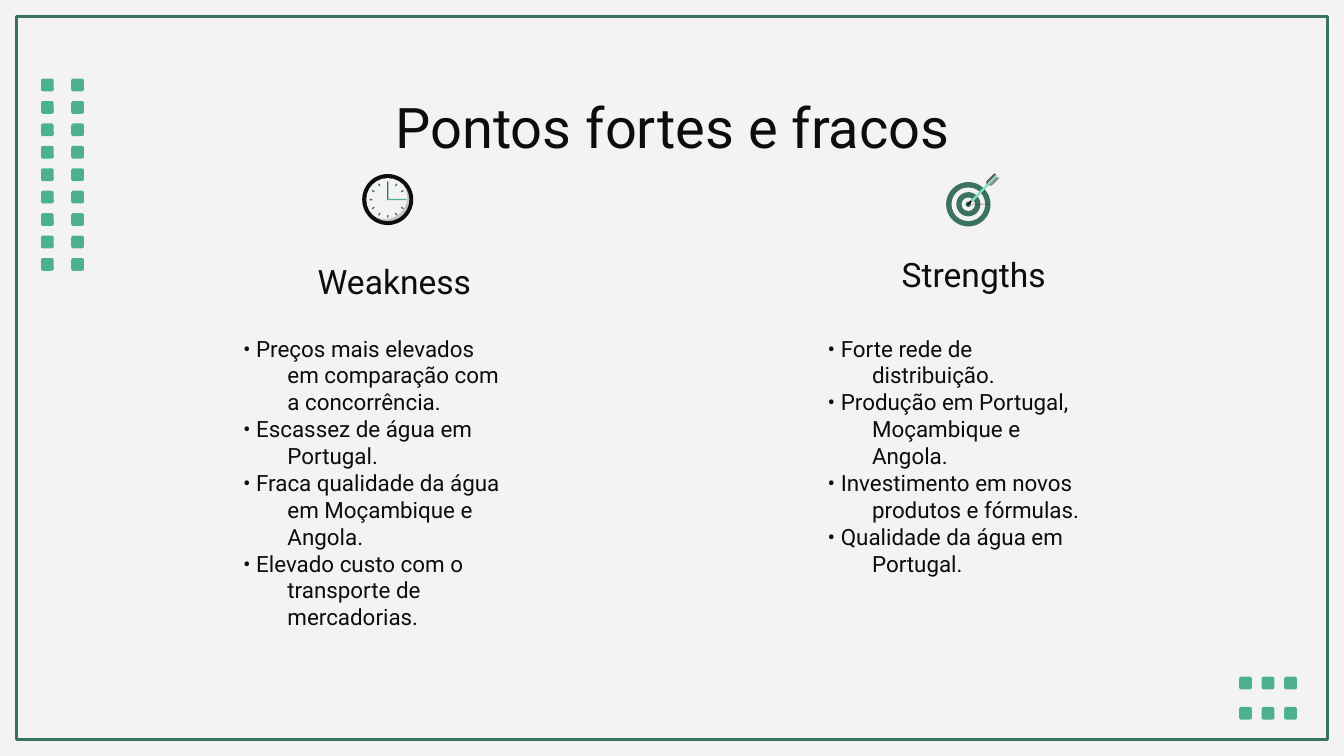
from math import cos, radians, sin

from lxml import etree
from pptx import Presentation
from pptx.dml.color import RGBColor
from pptx.enum.shapes import MSO_SHAPE
from pptx.enum.text import MSO_ANCHOR, MSO_AUTO_SIZE, PP_ALIGN
from pptx.oxml.ns import qn
from pptx.util import Pt

PX = 4572  # 200 px to the inch
FONT = "Roboto"
COLORS = {
    "paper": "F3F3F3",
    "ink": "0D0D0D",
    "forest": "3C735F",
    "green": "4CB18C",
    "mint": "85E0BE",
    "gray": "8C8C8C",
    "slate": "595859",
    "bolt": "828282",
}
RECT, ROUND, OVAL = MSO_SHAPE.RECTANGLE, MSO_SHAPE.ROUNDED_RECTANGLE, MSO_SHAPE.OVAL
TOP, BOTTOM = MSO_ANCHOR.TOP, MSO_ANCHOR.BOTTOM
LEFT, CENTER = PP_ALIGN.LEFT, PP_ALIGN.CENTER
NO_AUTOFIT = MSO_AUTO_SIZE.NONE

WEAKNESSES = [
    "Preços mais elevados em comparação com a concorrência.",
    "Escassez de água em Portugal.",
    "Fraca qualidade da água em Moçambique e Angola.",
    "Elevado custo com o transporte de mercadorias.",
]
STRENGTHS = [
    "Forte rede de distribuição.",
    "Produção em Portugal, Moçambique e Angola.",
    "Investimento em novos produtos e fórmulas.",
    "Qualidade da água em Portugal.",
]


def px(*lengths):
    return [round(length * PX) for length in lengths]


def rgb(name):
    return RGBColor.from_string(COLORS[name])


def paint(sp, color, alpha=None):
    """Give a shape a plain fill, with alpha as a percentage."""
    sp.shadow.inherit = False
    sp.line.fill.background()
    sp.fill.solid()
    sp.fill.fore_color.rgb = rgb(color)
    if alpha is not None:
        clr = sp.fill._xPr.find(qn("a:solidFill"))[0]
        etree.SubElement(clr, qn("a:alpha"), val=str(alpha * 1000))


def add_shape(s, kind, box, color, alpha=None, rotation=0):
    sp = s.shapes.add_shape(kind, *px(*box))
    sp.rotation = rotation
    paint(sp, color, alpha)
    return sp


def add_circle(s, cx, cy, radius, color):
    add_shape(s, OVAL, (cx - radius, cy - radius, 2 * radius, 2 * radius), color)


def add_polygon(s, x, y, points, color, alpha=None):
    points = [px(x + dx, y + dy) for dx, dy in points]
    builder = s.shapes.build_freeform(*points[0])
    builder.add_line_segments(points[1:], close=True)
    paint(builder.convert_to_shape(), color, alpha)


def write_text(sp, lines, size, align=LEFT, anchor=TOP, indent=0, hanging=0):
    tf = sp.text_frame
    tf.word_wrap = True
    tf.auto_size = NO_AUTOFIT
    tf.vertical_anchor = anchor
    tf.margin_left = tf.margin_right = tf.margin_top = tf.margin_bottom = 20 * PX
    for i, line in enumerate(lines):
        p = tf.add_paragraph() if i else tf.paragraphs[0]
        p.alignment = align
        if indent:
            pPr = p._p.get_or_add_pPr()
            pPr.set("marL", str(indent * PX))
            pPr.set("indent", str(-hanging * PX))
        r = p.add_run()
        r.text = line
        r.font.name = FONT
        r.font.size = Pt(size)
        r.font.color.rgb = rgb("ink")


def add_text(s, box, lines, **fmt):
    write_text(s.shapes.add_textbox(*px(*box)), lines, **fmt)


def add_title(s, box, text):
    title = s.shapes.title
    title.left, title.top, title.width, title.height = px(*box)
    write_text(title, [text], size=30, align=CENTER)


def add_frame(s, box):
    frame = s.shapes.add_shape(RECT, *px(*box))
    frame.shadow.inherit = False
    frame.fill.background()
    frame.line.color.rgb = rgb("forest")
    frame.line.width = Pt(1.5)


def add_dots(s, box, cols, rows, size=19):
    """Spread a grid of squares evenly from edge to edge of the box."""
    x, y, w, h = box
    step_x, step_y = (w - size) / (cols - 1), (h - size) / (rows - 1)
    for row in range(rows):
        for col in range(cols):
            dot = (x + col * step_x, y + row * step_y, size, size)
            add_shape(s, ROUND, dot, "green")


def add_clock(s, box):
    x, y, w, h = box
    cx, cy, face = x + w / 2, y + h / 2, 32
    add_circle(s, cx, cy, w / 2, "ink")
    add_circle(s, cx, cy, face, "paper")
    add_shape(s, ROUND, (cx - 1, cy - 27, 2, 28), "forest")
    add_shape(s, ROUND, (cx - 1, cy - 1, 29, 2), "green")

    arc = [(face * cos(radians(a)), face * sin(radians(a))) for a in range(-45, 136, 5)]
    inner = [(dx - 3, dy - 3) for dx, dy in reversed(arc)]
    add_polygon(s, cx, cy, arc + inner, "ink", alpha=20)

    for angle in range(30, 360, 30):  # the long hand covers twelve o'clock
        if angle == 90:  # the short hand covers three o'clock
            continue
        tx, ty = cx + 25 * sin(radians(angle)), cy - 25 * cos(radians(angle))
        add_shape(s, ROUND, (tx - 1, ty - 2, 2, 4), "forest", rotation=angle)


def add_target(s, box):
    x, y = box[:2]
    cx, cy = x + 33, y + 46
    for i, radius in enumerate((33, 25, 18, 10, 4)):
        add_circle(s, cx, cy, radius, "paper" if i % 2 else "forest")
        color, alpha = ("bolt", None) if radius == 4 else ("ink", 20)
        add_shape(s, RECT, (cx, cy - 1, radius, 2), color, alpha)

    feathers = [(72, 0), (62, 10), (60, 12), (60, 18), (68, 18), (78, 8),
                (79, 6), (74, 6), (74, 2)]
    dark_feather = [(72, 0), (62, 10), (60, 12), (60, 18), (74, 6), (74, 2)]
    tip = [(39, 38), (31, 46), (32, 48), (34, 47), (40, 40)]
    shaft = [(74, 2), (37, 40), (38, 42), (40, 42), (76, 4)]
    add_polygon(s, x, y, feathers, "gray")
    add_polygon(s, x, y, dark_feather, "slate")
    add_polygon(s, x, y, tip, "ink")
    add_polygon(s, x, y, shaft, "mint")


def add_column(s, box, heading, heading_offset, items):
    x, y, w, h = box
    dx, dy = heading_offset
    add_text(s, (x + dx, y + dy, w, 100), [heading], size=18, align=CENTER, anchor=BOTTOM)
    bullets = ["• " + item for item in items]
    add_text(s, (x, y + 120, w, h - 120), bullets, size=12, indent=100, hanging=66)


def main():
    prs = Presentation()
    prs.slide_width, prs.slide_height = px(2000, 1125)
    s = prs.slides.add_slide(prs.slide_layouts[5])
    s.background.fill.solid()
    s.background.fill.fore_color.rgb = rgb("paper")

    add_frame(s, (25, 25, 1950, 1075))
    add_dots(s, (1844, 1007, 86, 64), cols=3, rows=2)
    add_dots(s, (61, 117, 64, 286), cols=2, rows=9)
    add_title(s, (158, 118, 1686, 126), "Pontos fortes e fracos")
    add_column(s, (308, 358, 462, 316), "Weakness", (48, 10), WEAKNESSES)
    add_column(s, (1178, 358, 462, 316), "Strengths", (40, 0), STRENGTHS)
    add_clock(s, (539, 259, 76, 76))
    add_target(s, (1408, 258, 79, 79))
    prs.save("out.pptx")


if __name__ == "__main__":
    main()
